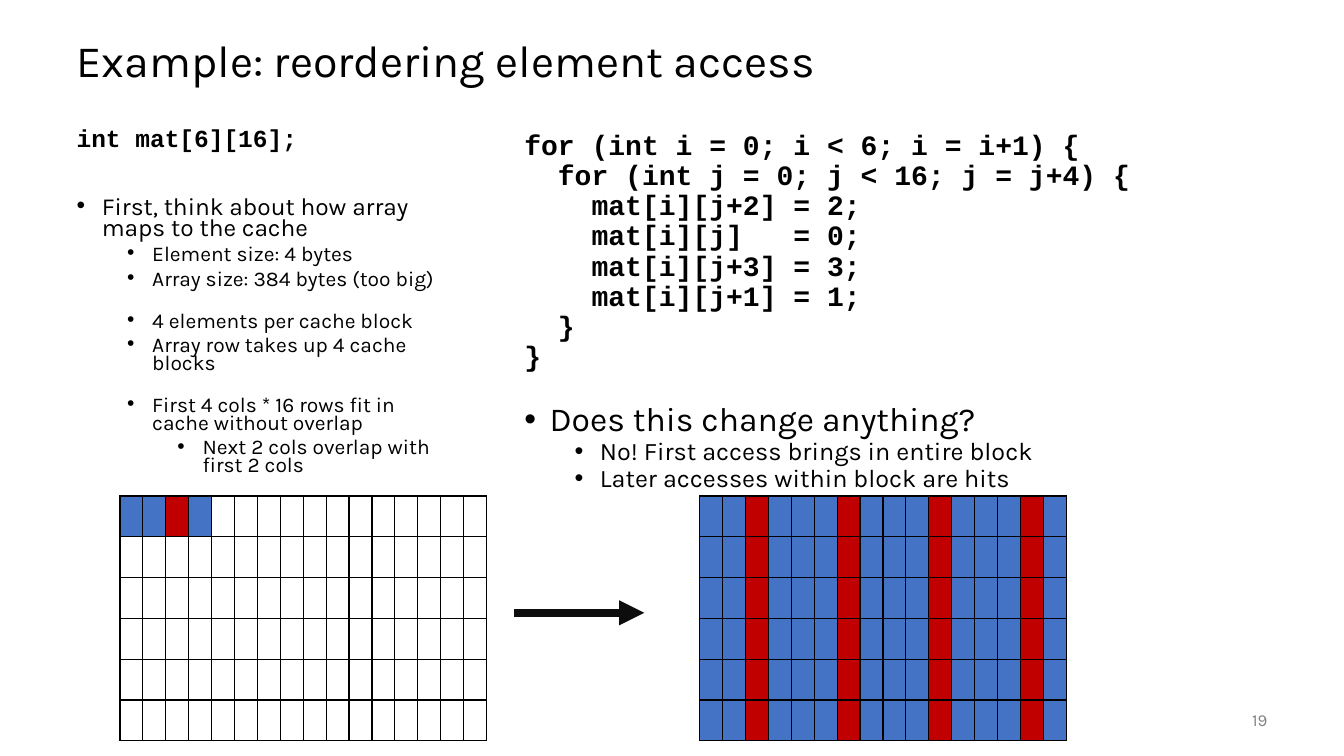
from lxml import etree
from pptx import Presentation
from pptx import util as u
from pptx.dml.color import RGBColor
from pptx.enum import shapes, text
from pptx.oxml import parse_xml
from pptx.oxml.ns import nsdecls, qn

ROWS, COLUMNS, BLOCK = 6, 16, 4
HIT, MISS, EMPTY, BLACK = "4472C4", "C00000", "FFFFFF", "000000"
MISS_OFFSET = 2

CODE = """for (int i = 0; i < 6; i = i+1) {
  for (int j = 0; j < 16; j = j+4) {
    mat[i][j+2] = 2;
    mat[i][j]   = 0;
    mat[i][j+3] = 3;
    mat[i][j+1] = 1;
  }
}""".split("\n")

# Each entry: wording, bullet level, size, space before
CACHE_NOTES = [
    ("First, think about how array maps to the cache", 0, 17.5, 34),
    ("Element size: 4 bytes", 1, 15, 5),
    ("Array size: 384 bytes (too big)", 1, 15, 5),
    ("4 elements per cache block", 1, 15, 17.5),
    ("Array row takes up 4 cache blocks", 1, 15, 5),
    ("First 4 cols * 16 rows fit in cache without overlap", 1, 15, 17.5),
    ("Next 2 cols overlap with first 2 cols", 2, 15, 5),
]
ANSWER = [
    ("Does this change anything?", 0, 24, 21),
    ("No! First access brings in entire block", 1, 18, 0),
    ("Later accesses within block are hits", 1, 18, 0),
]


def color(code):
    return RGBColor.from_string(code)


def set_values(target, values):
    for name, value in values.items():
        setattr(target, name, value)


def place(shape, left, top, width, height):
    set_values(shape, {"left": u.Inches(left), "top": u.Inches(top),
                       "width": u.Inches(width), "height": u.Inches(height)})


def set_bullet(para, level):
    """Indent the paragraph for its level; None means no bullet."""
    properties = para._p.get_or_add_pPr()
    indent = 0 if level is None else u.Inches(0.25)
    margin = 0 if level is None else u.Inches(0.25 + 0.5 * level)
    properties.set("marL", str(margin))
    properties.set("indent", str(-indent))
    if level is None:
        etree.SubElement(properties, qn("a:buNone"))
    else:
        etree.SubElement(properties, qn("a:buFont"), typeface="Arial")
        etree.SubElement(properties, qn("a:buChar"), char="•")
        para.level = level


def write(para, wording, size, font="Karla", shade=BLACK, bold=False):
    span = para.add_run()
    span.text = wording
    set_values(span.font, {"name": font, "size": u.Pt(size), "bold": bold})
    span.font.color.rgb = color(shade)


def prepare_frame(shape, anchor):
    frame = shape.text_frame
    set_values(frame, {"word_wrap": True, "vertical_anchor": anchor,
                       "auto_size": text.MSO_AUTO_SIZE.NONE})
    return frame


def fill_body(body, code_lines, code_size, notes, spacing):
    """Write code lines, then bulleted notes, into a body placeholder."""
    frame = prepare_frame(body, text.MSO_ANCHOR.TOP)
    entries = [(line, None, code_size, 0) for line in code_lines] + notes
    for index, (wording, level, size, before) in enumerate(entries):
        para = frame.add_paragraph() if index else frame.paragraphs[0]
        set_values(para, {"line_spacing": spacing, "space_before": u.Pt(before),
                          "space_after": u.Pt(0)})
        set_bullet(para, level)
        is_code = level is None
        write(para, wording, size, "Courier New" if is_code else "Karla", bold=is_code)


def add_line_of_text(shape, wording, size, shade, align):
    para = prepare_frame(shape, text.MSO_ANCHOR.MIDDLE).paragraphs[0]
    set_values(para, {"alignment": align, "line_spacing": 0.9})
    write(para, wording, size, shade=shade)


def outline_cell(cell):
    properties = cell._tc.get_or_add_tcPr()
    for position, side in enumerate(("lnL", "lnR", "lnT", "lnB")):
        border = parse_xml(
            f'<a:{side} {nsdecls("a")} w="{u.Pt(1)}"><a:solidFill>'
            f'<a:srgbClr val="{BLACK}"/></a:solidFill></a:{side}>')
        properties.insert(position, border)


def add_array_grid(page, left, is_loaded):
    """Draw the matrix; is_loaded(row, column) tells which cells were accessed."""
    width, height = u.Inches(3.64), u.Inches(2.43)
    grid = page.shapes.add_table(ROWS, COLUMNS, u.Inches(left), u.Inches(4.92),
                                 width, height).table
    set_values(grid, {"first_row": False, "horz_banding": False})
    for column in grid.columns:
        column.width = width // COLUMNS
    for row_index, row in enumerate(grid.rows):
        row.height = height // ROWS
        for column_index, cell in enumerate(row.cells):
            set_values(cell, dict.fromkeys(
                ("margin_left", "margin_right", "margin_top", "margin_bottom"), 0))
            access = MISS if column_index % BLOCK == MISS_OFFSET else HIT
            shade = access if is_loaded(row_index, column_index) else EMPTY
            cell.fill.solid()
            cell.fill.fore_color.rgb = color(shade)
            outline_cell(cell)


def add_arrow(page, left, right, y):
    arrow = page.shapes.add_connector(
        shapes.MSO_CONNECTOR.STRAIGHT,
        u.Inches(left), u.Inches(y), u.Inches(right), u.Inches(y))
    arrow.line.width = u.Pt(6)
    arrow.line.color.rgb = color("0D0D0D")
    etree.SubElement(arrow.line._get_or_add_ln(), qn("a:tailEnd"), type="triangle")
    etree.SubElement(arrow._element.spPr, qn("a:effectLst"))


def main():
    deck = Presentation()
    set_values(deck, {"slide_width": u.Inches(13.33), "slide_height": u.Inches(7.5)})
    page = deck.slides.add_slide(deck.slide_layouts.get_by_name("Two Content"))
    title, array_body, loop_body = page.placeholders

    place(title, 0.66, 0.25, 12, 0.75)
    add_line_of_text(title, "Example: reordering element access", 32, BLACK,
                     text.PP_ALIGN.LEFT)
    place(array_body, 0.66, 1.25, 3.93, 3.57)
    fill_body(array_body, ["int mat[6][16];"], 17.5, CACHE_NOTES, 0.7)
    place(loop_body, 5.1, 1.25, 7.57, 5.5)
    fill_body(loop_body, CODE, 20, ANSWER, 0.9)

    add_array_grid(page, 1.19, lambda row, column: row == 0 and column < BLOCK)
    add_array_grid(page, 6.94, lambda row, column: True)
    add_arrow(page, 5.1, 6.39, 6.08)

    number = page.shapes.add_textbox(0, 0, 0, 0)
    place(number, 11.67, 6.95, 1, 0.4)
    add_line_of_text(number, "19", 12, "808080", text.PP_ALIGN.RIGHT)
    deck.save("out.pptx")


if __name__ == "__main__":
    main()
